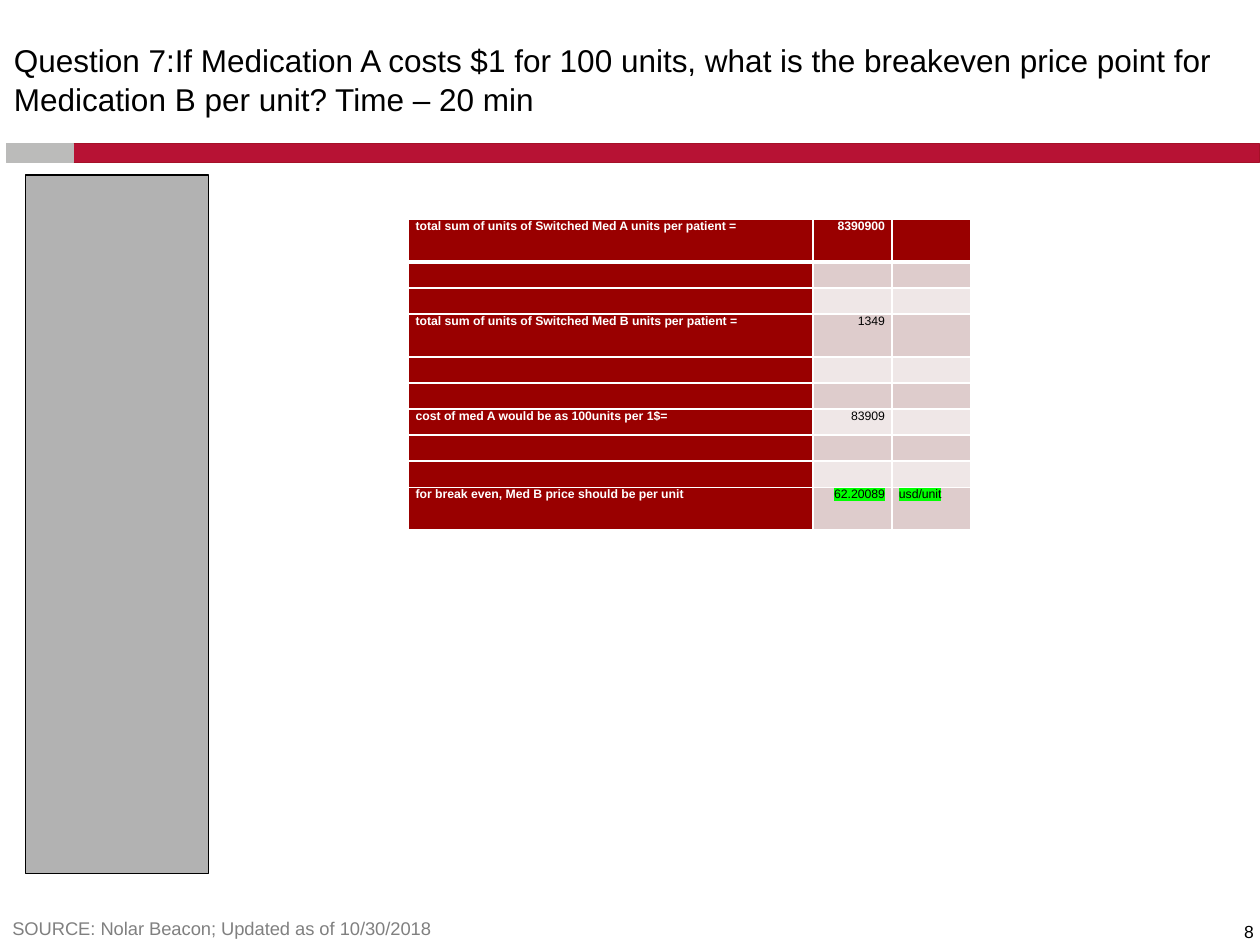
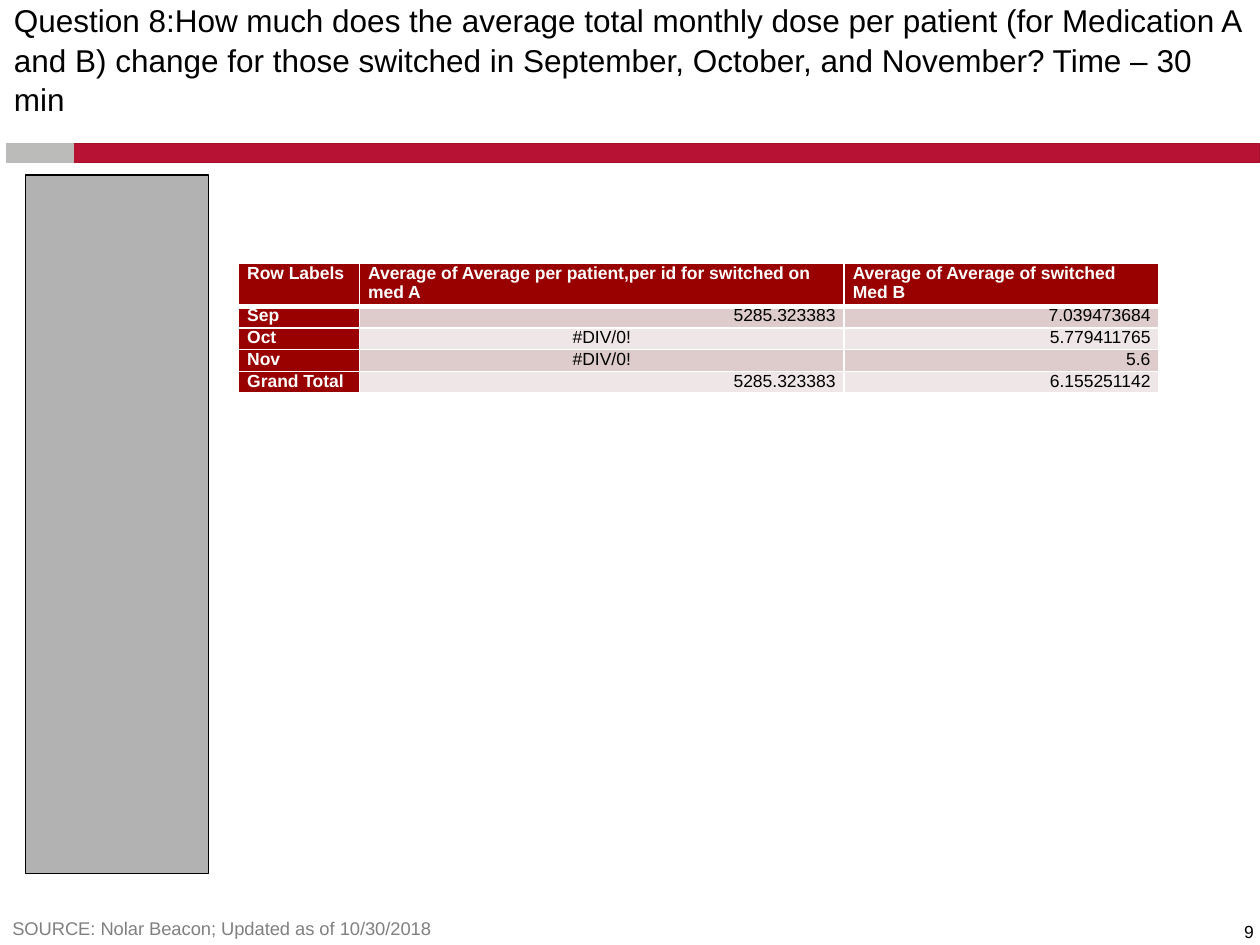
"""Build the two medication question slides with their result tables."""
from lxml import etree
from pptx import Presentation
from pptx.dml.color import RGBColor
from pptx.enum import shapes, text
from pptx.oxml import ns
from pptx.util import Pt

FONT = "Arial"
BLACK = RGBColor(0x00, 0x00, 0x00)
WHITE = RGBColor(0xFF, 0xFF, 0xFF)
CRIMSON = RGBColor(0xB7, 0x12, 0x34)
CRIMSON_EDGE = RGBColor(0xA4, 0x11, 0x28)
SILVER = RGBColor(0xBB, 0xBB, 0xBA)
PANEL_GRAY = RGBColor(0xB2, 0xB2, 0xB2)
SOURCE_GRAY = RGBColor(0x80, 0x80, 0x80)
DARK_RED = RGBColor(0x99, 0x00, 0x00)
BAND_DARK = RGBColor(0xDE, 0xCC, 0xCC)
BAND_LIGHT = RGBColor(0xEF, 0xE7, 0xE7)
GREEN = RGBColor(0x00, 0xFF, 0x00)

SOURCE = "SOURCE: Nolar Beacon; Updated as of 10/30/2018"
LEFT, CENTER, RIGHT = text.PP_ALIGN.LEFT, text.PP_ALIGN.CENTER, text.PP_ALIGN.RIGHT

BREAKEVEN_ROWS = [
    ("total sum of units of Switched Med A units per patient =", "8390900", ""),
    ("", "", ""),
    ("", "", ""),
    ("total sum of units of Switched Med B units per patient =", "1349", ""),
    ("", "", ""),
    ("", "", ""),
    ("cost of med A would be as 100units per 1$=", "83909", ""),
    ("", "", ""),
    ("", "", ""),
    ("for break even, Med B price should be per unit", "62.20089", "usd/unit"),
]
DOSE_ROWS = [
    ("Row Labels", "Average of Average per patient,per id for switched on med A",
     "Average of Average of switched Med B"),
    ("Sep", "5285.323383", "7.039473684"),
    ("Oct", "#DIV/0!", "5.779411765"),
    ("Nov", "#DIV/0!", "5.6"),
    ("Grand Total", "5285.323383", "6.155251142"),
]


def add_color(parent, tag, color):
    """Append an element holding one RGB colour."""
    element = etree.SubElement(parent, ns.qn(tag))
    etree.SubElement(element, ns.qn("a:srgbClr"), val=str(color))
    return element


def write(frame, content, size, color=BLACK, bold=False, align=LEFT, highlight=None, spacing=None):
    """Fill a text frame with one formatted paragraph."""
    paragraph = frame.paragraphs[0]
    paragraph.alignment = align
    paragraph.line_spacing = spacing
    if not content:
        paragraph._p.get_or_add_endParaRPr().set("sz", str(int(size * 100)))
        return
    run = paragraph.add_run()
    run.text = content
    run.font.size, run.font.bold = Pt(size), bold
    run.font.color.rgb = color
    run.font.name = FONT
    if highlight is not None:
        properties = run._r.get_or_add_rPr()
        properties.find(ns.qn("a:solidFill")).addnext(add_color(properties, "a:highlight", highlight))


def set_margins(target, side, vertical=0):
    """Set the inner margins of a cell or text frame in points."""
    target.margin_left = target.margin_right = Pt(side)
    target.margin_top = target.margin_bottom = Pt(vertical)


def set_borders(cell, top, bottom):
    """Draw white borders round a table cell."""
    properties = cell._tc.get_or_add_tcPr()
    for tag, width in (("a:lnL", 1), ("a:lnR", 1), ("a:lnT", top), ("a:lnB", bottom)):
        line = add_color(etree.SubElement(properties, ns.qn(tag), w=str(Pt(width))), "a:solidFill", WHITE)
        line.getparent().set("cmpd", "sng")


def alignment_of(content):
    """Put numbers right, errors in the centre and words left."""
    if content.startswith("#"):
        return CENTER
    return RIGHT if content.replace(".", "").isdigit() else LEFT


class Deck:
    """Hold the presentation, its style and the current slide."""

    def __init__(self):
        """Start a 4:3 presentation."""
        self.presentation = Presentation()
        self.presentation.slide_width, self.presentation.slide_height = Pt(720), Pt(540)
        self.slide = None

    def rectangle(self, left, top, width, height, fill, line, weight):
        """Add a filled rectangle."""
        shape = self.slide.shapes.add_shape(
            shapes.MSO_SHAPE.RECTANGLE, Pt(left), Pt(top), Pt(width), Pt(height))
        shape.shadow.inherit = False
        shape.fill.solid()
        shape.fill.fore_color.rgb = fill
        shape.line.color.rgb = line
        shape.line.width = Pt(weight)

    def label(self, content, left, top, width, height, margins=(0, 0), wrap=True, **style):
        """Add a text box anchored at the bottom."""
        frame = self.slide.shapes.add_textbox(Pt(left), Pt(top), Pt(width), Pt(height)).text_frame
        frame.word_wrap = wrap
        frame.vertical_anchor = text.MSO_ANCHOR.BOTTOM
        set_margins(frame, *margins)
        write(frame, content, **style)

    def title(self, content):
        """Place and format the title placeholder."""
        shape = self.slide.shapes.title
        shape.left, shape.top, shape.width, shape.height = Pt(0.72), Pt(1.5), Pt(719.28), Pt(66)
        frame = shape.text_frame
        frame.word_wrap = True
        frame.auto_size = text.MSO_AUTO_SIZE.NONE
        frame.vertical_anchor = text.MSO_ANCHOR.BOTTOM
        set_margins(frame, 7.2)
        write(frame, content, size=18, spacing=1.05)

    def question(self, content, number):
        """Start a slide with title, bands, side panel and footer."""
        self.slide = self.presentation.slides.add_slide(self.presentation.slide_layouts[5])
        self.rectangle(42, 82, 677.5, 11, CRIMSON, CRIMSON_EDGE, 0.25)
        self.rectangle(3.6, 82, 38.4, 11, SILVER, SILVER, 0.25)
        self.rectangle(14.4, 100, 104.6, 399, PANEL_GRAY, BLACK, 0.75)
        self.label(str(number), 701, 526.5, 15.4, 12, wrap=False, size=10, align=RIGHT)
        self.title(content)
        self.label(SOURCE, 0, 520.5, 701, 20, margins=(7.2, 3.6), size=10.5, color=SOURCE_GRAY)

    def table(self, rows, left, top, widths, heights, size, margin, marked_row=None):
        """Add a banded table with a red header row and first column."""
        table = self.slide.shapes.add_table(
            len(rows), len(widths), Pt(left), Pt(top), Pt(sum(widths)), Pt(sum(heights))).table
        table.horz_banding = False
        for column, width in zip(table.columns, widths):
            column.width = Pt(width)
        for row_index, contents in enumerate(rows):
            table.rows[row_index].height = Pt(heights[row_index])
            for column_index, content in enumerate(contents):
                cell = table.cell(row_index, column_index)
                heading = row_index == 0 or column_index == 0
                band = BAND_DARK if row_index % 2 else BAND_LIGHT
                marked = row_index == marked_row and not heading
                set_margins(cell, margin)
                set_borders(cell, 3 if row_index == 1 else 1, 3 if row_index == 0 else 1)
                cell.fill.solid()
                cell.fill.fore_color.rgb = DARK_RED if heading else band
                write(cell.text_frame, content, size, color=WHITE if heading else BLACK,
                      bold=heading, align=alignment_of(content), highlight=GREEN if marked else None)


def main():
    """Build both slides and save them."""
    deck = Deck()
    deck.question("Question 7:If Medication A costs $1 for 100 units, what is the breakeven "
                  "price point for Medication B per unit? Time – 20 min", 8)
    deck.table(BREAKEVEN_ROWS, 233.5, 125.3, (231, 45.2, 45.2),
               [24.5 if row[0] and "cost" not in row[0] else 14.9 for row in BREAKEVEN_ROWS],
               size=7, margin=4, marked_row=9)
    deck.question("Question 8:How much does the average total monthly dose per patient (for "
                  "Medication A and B) change for those switched in September, October, and "
                  "November? Time – 30 min", 9)
    deck.table(DOSE_ROWS, 136.3, 150.5, (69.1, 277, 180), [24.5] + [12.4] * 4, size=10, margin=5)
    deck.presentation.save("out.pptx")


if __name__ == "__main__":
    main()
